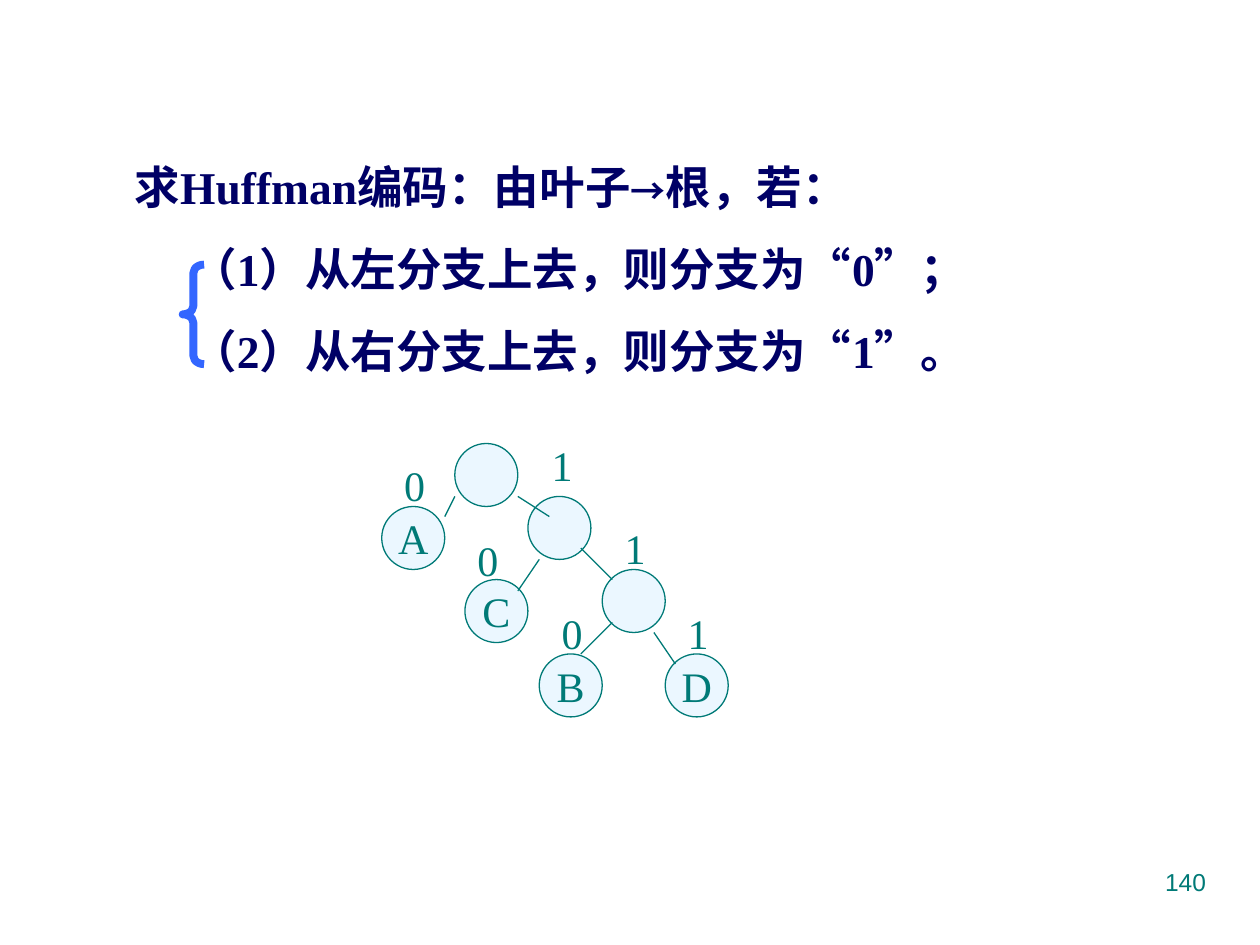
from dataclasses import dataclass
from typing import NamedTuple

from lxml import etree
from pptx import Presentation
from pptx.dml.color import RGBColor
from pptx.enum import shapes, text
from pptx.oxml.ns import qn
from pptx.util import Inches, Pt


@dataclass(frozen=True)
class Theme:
    ink: RGBColor = RGBColor(0x00, 0x00, 0x66)
    teal: RGBColor = RGBColor(0x00, 0x7A, 0x77)
    pale: RGBColor = RGBColor(0xEB, 0xF7, 0xFF)
    blue: RGBColor = RGBColor(0x33, 0x66, 0xFF)
    serif: str = "Times New Roman"
    sans: str = "Arial"
    body: int = 26
    arrow: int = 20
    tree: int = 24
    page: int = 14
    thin: float = 0.75
    thick: float = 4.5


class Node(NamedTuple):
    x: float
    y: float
    name: str = ""


class Edge(NamedTuple):
    x1: float
    y1: float
    x2: float
    y2: float


class Bit(NamedTuple):
    x: float
    y: float
    digit: str


T = Theme()
SIZE = 0.5
NODES = [
    Node(3.61, 3.52), Node(4.19, 3.94), Node(4.78, 4.52),
    Node(3.03, 4.02, "A"), Node(3.69, 4.6, "C"),
    Node(4.28, 5.19, "B"), Node(5.28, 5.19, "D"),
]
EDGES = [
    Edge(3.61, 3.94, 3.53, 4.1), Edge(4.11, 3.94, 4.36, 4.1),
    Edge(4.28, 4.44, 4.11, 4.69), Edge(4.86, 4.94, 4.61, 5.19),
    Edge(5.19, 5.02, 5.36, 5.27), Edge(4.61, 4.35, 4.86, 4.6),
]
BITS = [
    Bit(3.11, 3.6, "0"), Bit(3.69, 4.19, "0"), Bit(4.36, 4.77, "0"),
    Bit(4.28, 3.44, "1"), Bit(4.86, 4.1, "1"), Bit(5.36, 4.77, "1"),
]
RULES = ["（1）从左分支上去，则分支为“0”；", "（2）从右分支上去，则分支为“1”。"]


def style(para, size: int, color: RGBColor, face: str = T.serif, bold: bool = False) -> None:
    font = para.font
    font.size, font.name, font.bold = Pt(size), face, bold
    font.color.rgb = color


def add_box(slide, x: float, y: float, w: float, h: float):
    frame = slide.shapes.add_textbox(Inches(x), Inches(y), Inches(w), Inches(h)).text_frame
    frame.word_wrap = True
    return frame


def add_rules(slide) -> None:
    frame = add_box(slide, 0.97, 1.08, 7.65, 2.54)
    head = frame.paragraphs[0]
    for words in ("求Huffman编码：由叶子", "→", "根，若："):
        run = head.add_run()
        run.text = words
        if words == "→":
            run.font.size, run.font.name = Pt(T.arrow), T.sans
    for rule in RULES:
        para = frame.add_paragraph()
        para.text = rule
        para.space_before = Pt(6.5)
        para._p.get_or_add_pPr().set("marL", str(Inches(0.45)))
    for para in frame.paragraphs:
        para.line_spacing = 1.3
        style(para, T.body, T.ink, bold=True)


def add_brace(slide) -> None:
    brace = slide.shapes.add_shape(
        shapes.MSO_SHAPE.LEFT_BRACE, Inches(1.45), Inches(2.1), Inches(0.17), Inches(0.79))
    brace.adjustments[0] = 0.39
    brace.shadow.inherit = False
    brace.fill.background()
    brace.line.color.rgb, brace.line.width = T.blue, Pt(T.thick)


def add_node(slide, node: Node) -> None:
    disc = slide.shapes.add_shape(
        shapes.MSO_SHAPE.OVAL, Inches(node.x), Inches(node.y), Inches(SIZE), Inches(SIZE))
    disc.shadow.inherit = False
    disc.fill.solid()
    disc.fill.fore_color.rgb = T.pale
    disc.line.color.rgb, disc.line.width = T.teal, Pt(T.thin)
    if node.name:
        frame = disc.text_frame
        frame.word_wrap = False
        frame.vertical_anchor = text.MSO_ANCHOR.MIDDLE
        para = frame.paragraphs[0]
        para.text, para.alignment = node.name, text.PP_ALIGN.CENTER
        style(para, T.tree, T.teal)


def add_edge(slide, edge: Edge) -> None:
    line = slide.shapes.add_connector(
        shapes.MSO_CONNECTOR.STRAIGHT, *(Inches(v) for v in edge))
    line.line.color.rgb, line.line.width = T.teal, Pt(T.thin)
    etree.SubElement(line._element.spPr, qn("a:effectLst"))


def add_bit(slide, bit: Bit) -> None:
    para = add_box(slide, bit.x, bit.y, 0.58, SIZE).paragraphs[0]
    para.text = bit.digit
    style(para, T.tree, T.teal)


def add_page(slide) -> None:
    para = add_box(slide, 7.17, 6.83, 2.5, 0.52).paragraphs[0]
    para.text, para.alignment = "140", text.PP_ALIGN.RIGHT
    style(para, T.page, T.teal, T.sans)


def main() -> None:
    deck = Presentation()
    deck.slide_width, deck.slide_height = Inches(10), Inches(7.5)
    slide = deck.slides.add_slide(deck.slide_layouts[6])
    add_rules(slide)
    for draw, items in ((add_node, NODES), (add_edge, EDGES), (add_bit, BITS)):
        for item in items:
            draw(slide, item)
    add_brace(slide)
    add_page(slide)
    deck.save("out.pptx")


if __name__ == "__main__":
    main()
